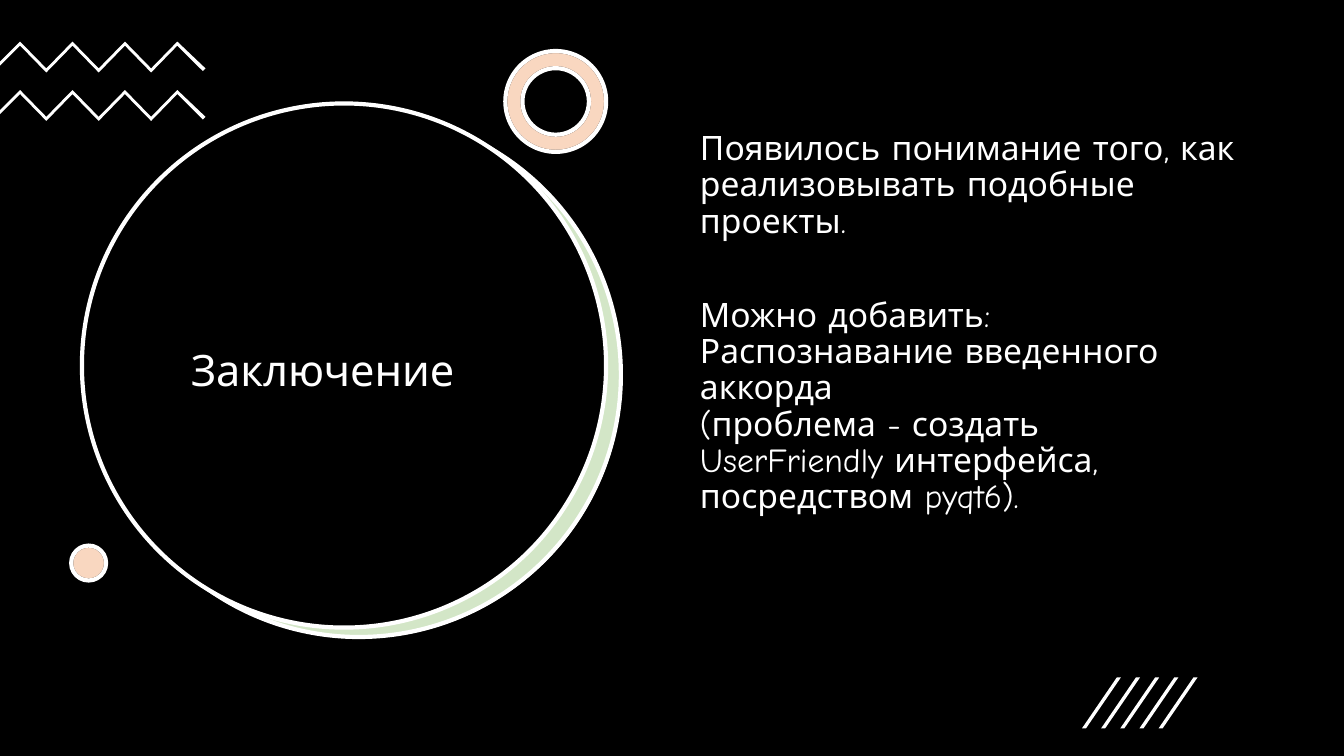
from lxml import etree
from pptx import Presentation
from pptx.dml.color import RGBColor
from pptx.enum.shapes import MSO_SHAPE
from pptx.enum.text import MSO_ANCHOR, MSO_AUTO_SIZE, PP_ALIGN
from pptx.oxml.ns import qn
from pptx.util import Inches, Pt

RECT, OVAL, DONUT = MSO_SHAPE.RECTANGLE, MSO_SHAPE.OVAL, MSO_SHAPE.DONUT
TOP, LEFT = MSO_ANCHOR.TOP, PP_ALIGN.LEFT
NO_FIT, GROW = MSO_AUTO_SIZE.NONE, MSO_AUTO_SIZE.SHAPE_TO_FIT_TEXT
BLACK, WHITE, GREEN, ORANGE = "000000", "FFFFFF", "70AD47", "ED7D31"
FONT = "Comic Neue"
HARD_SPACE = chr(160)
TITLE = "Заключение"
NOTES = [
    ("Появилось~понимание~того, как реализовывать подобные проекты.", 31),
    ("Можно добавить:\vРаспознавание введенного аккорда\v"
     "(проблема~- создать UserFriendly~интерфейса, посредством~pyqt6).", 6),
]


def color(value):
    return RGBColor.from_string(value)


def paint(sp, fill, line=None, alpha=None):
    sp.shadow.inherit = False
    sp.fill.solid()
    sp.fill.fore_color.rgb = color(fill)
    if alpha:
        clr = sp.fill._xPr.find(qn("a:solidFill"))[0]
        etree.SubElement(clr, qn("a:alpha")).set("val", str(alpha * 1000))
    if line:
        sp.line.color.rgb = color(line)
        sp.line.width = Pt(2.25)
    else:
        sp.line.fill.background()


def add_preset(s, kind, box, fill, line=None, alpha=None):
    sp = s.shapes.add_shape(kind, *map(Inches, box))
    paint(sp, fill, line, alpha)
    return sp


def add_outline(group, x, y, points):
    points = [(Inches(x + dx), Inches(y + dy)) for dx, dy in points]
    builder = group.shapes.build_freeform(*points[0])
    builder.add_line_segments(points[1:], close=True)
    paint(builder.convert_to_shape(), WHITE)


def add_background(s, width, height):
    sp = s.shapes.add_shape(RECT, 0, 0, width, height)
    paint(sp, BLACK)


def add_big_circle(s, x, y, size):
    add_preset(s, OVAL, (x + 0.12, y + 0.08, size, size), WHITE)
    add_preset(s, OVAL, (x + 0.11, y + 0.07, size, size), GREEN, WHITE, 30)
    add_preset(s, OVAL, (x, y, size, size), BLACK, WHITE)


def add_peach(s, kind, x, y, size):
    for fill, line, alpha in ((WHITE, BLACK, None), (ORANGE, WHITE, 30)):
        sp = add_preset(s, kind, (x, y, size, size), fill, line, alpha)
        if kind == DONUT:
            sp.adjustments[0] = 0.17


def add_zigzags(s, x, y, gap):
    group = s.shapes.add_group_shape()
    step = 1.17 / 6
    upper = [(0.15 + step * i, 0.2 * (i % 2)) for i in range(7)]
    lower = [(dx, dy + 0.03) for dx, dy in reversed(upper)]
    points = upper + [(1.53, 0.2), (1.51, 0.22)] + lower + [(0, 0.18), (0, 0.15)]
    for row in range(2):
        add_outline(group, x, y + row * gap, points)


def add_stripes(s, x, y, width, height, count):
    group = s.shapes.add_group_shape()
    slant, thick = 0.26, 0.03
    step = (width - slant - thick) / (count - 1)
    points = [(thick, height), (0, height), (slant, 0), (slant + thick, 0)]
    for i in range(count):
        add_outline(group, x + i * step, y, points)


def format_text(tf, size, fit):
    for name, value in {"word_wrap": True, "auto_size": fit,
                        "vertical_anchor": TOP}.items():
        setattr(tf, name, value)
    for p in tf.paragraphs:
        p.alignment = LEFT
        for r in p.runs:
            for name, value in {"name": FONT, "size": Pt(size), "bold": False}.items():
                setattr(r.font, name, value)
            r.font.color.rgb = color(WHITE)


def add_notes(s, box):
    tf = s.shapes.add_textbox(*map(Inches, box)).text_frame
    for i, (text, after) in enumerate(NOTES):
        p = tf.add_paragraph() if i else tf.paragraphs[0]
        p.text = text.replace("~", HARD_SPACE)
        p.line_spacing = 0.9
        p.space_after = Pt(after)
    format_text(tf, 18, NO_FIT)


def place_title(s, box):
    title = s.shapes.title
    for name, value in zip(("left", "top", "width", "height"), box):
        setattr(title, name, Inches(value))
    title.text_frame.text = TITLE
    format_text(title.text_frame, 40, GROW)
    r = title.text_frame.paragraphs[0].runs[0]
    r.font._element.set("baseline", "30000")
    s.shapes._spTree.append(title._element)


def main():
    prs = Presentation()
    prs.slide_width = Inches(10)
    prs.slide_height = prs.slide_width * 9 // 16
    s = prs.slides.add_slide(prs.slide_layouts[5])
    add_background(s, prs.slide_width, prs.slide_height)
    add_big_circle(s, 0.61, 0.77, 3.9)
    add_zigzags(s, 0, 0.31, 0.36)
    add_peach(s, DONUT, 3.76, 0.38, 0.75)
    add_peach(s, OVAL, 0.53, 4.06, 0.26)
    add_notes(s, (5.11, 0.93, 4.28, 3.57))
    add_stripes(s, 8.05, 5.04, 0.86, 0.38, 5)
    place_title(s, (1.32, 2.44, 2.44, 0.55))
    prs.save("out.pptx")


if __name__ == "__main__":
    main()
